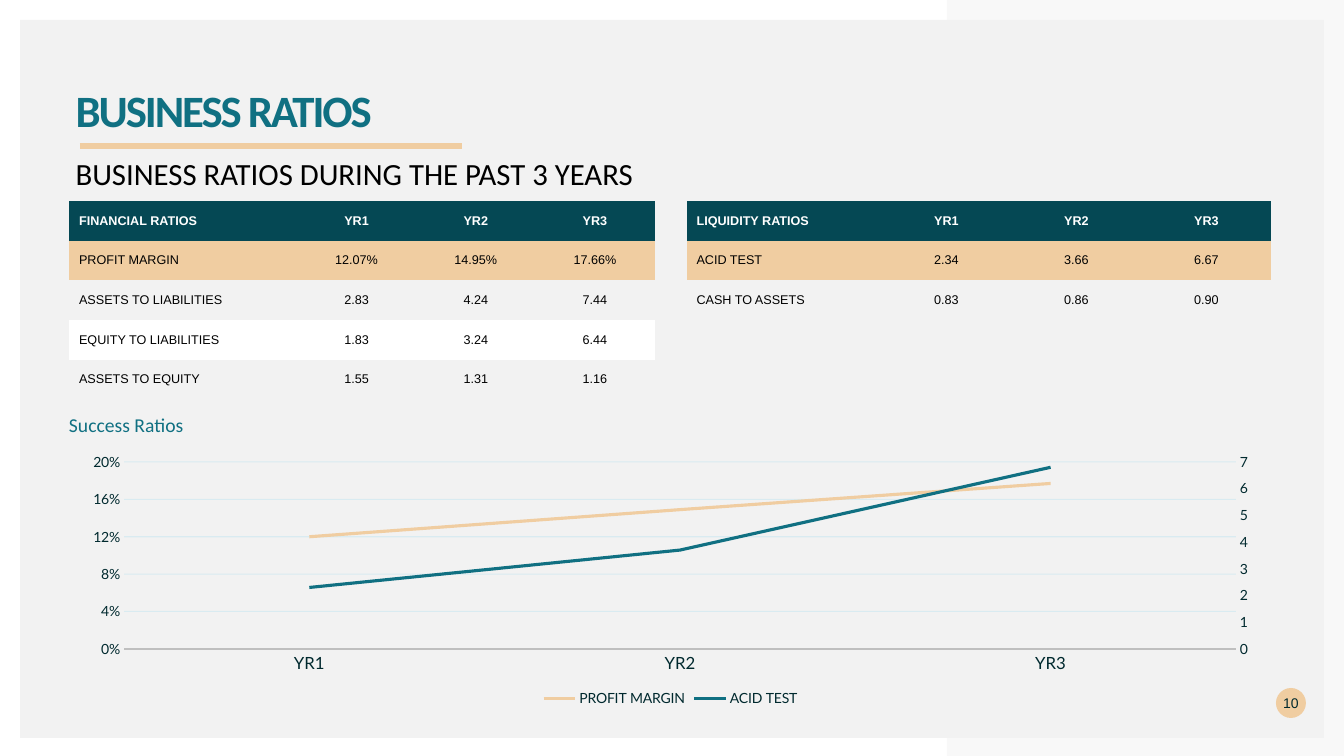
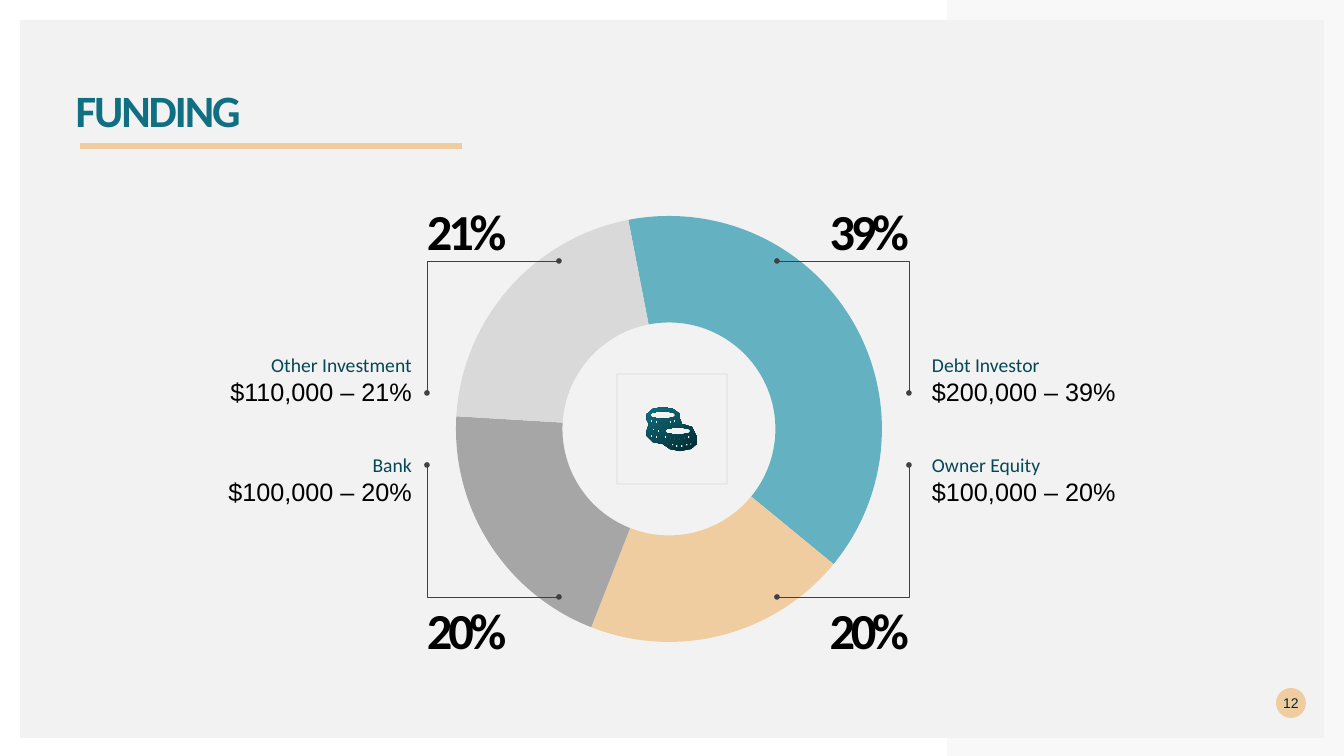
from collections import namedtuple
from copy import deepcopy
from math import cos, pi, sin
from lxml.etree import SubElement
from pptx import Presentation
from pptx.chart.axis import ValueAxis
from pptx.chart.data import CategoryChartData
from pptx.dml.color import RGBColor
from pptx.enum.chart import XL_CHART_TYPE, XL_LEGEND_POSITION, XL_TICK_MARK
from pptx.enum.shapes import MSO_CONNECTOR, MSO_SHAPE
from pptx.enum.text import MSO_ANCHOR, MSO_AUTO_SIZE, PP_ALIGN
from pptx.oxml.ns import qn
from pptx.util import Emu, Pt

SCALE = 914400 / 100.8
LEFT, MID, RIGHT = PP_ALIGN.LEFT, PP_ALIGN.CENTER, PP_ALIGN.RIGHT
TOP, CORE, LOW = MSO_ANCHOR.TOP, MSO_ANCHOR.MIDDLE, MSO_ANCHOR.BOTTOM
Style = namedtuple("Style", "size font color bold space", defaults=(False, 0))

class Theme:
    panel, white, black = "F2F2F2", "FFFFFF", "000000"
    teal, deep, dark, sand = "107082", "054854", "00292E", "F0CDA1"
    wire, frame, axis, grid = "404040", "808080", "BFBFBF", "00AEEF"
    ring = ("64B2C1", sand, "A6A6A6", "D9D9D9")
    title = Style(32, "Calibri", teal, True, -150)
    sub = Style(22, "Calibri", black)
    note = Style(14, "Calibri", teal)
    label = Style(14, "Calibri", deep)
    sum = Style(18, "Arial", black)
    share = Style(36, "Calibri", black, True, -300)
    page = Style(10, "Arial", dark)
    head = Style(9, "Arial", white, True)
    cell = Style(9, "Arial", black)
    tick = Style(10, "Lato", dark)
    year = Style(12, "Lato", dark)

T = Theme()

def px(*vals):
    return [Emu(round(v * SCALE)) for v in vals]

def rgb(code):
    return RGBColor.from_string(code)

def set_font(font, style):
    font.size, font.name, font.bold = Pt(style.size), style.font, style.bold
    font.color.rgb = rgb(style.color)

def set_fill(fill, color):
    fill.solid()
    fill.fore_color.rgb = rgb(color)

def set_line(line, color, width):
    line.color.rgb, line.width = rgb(color), Pt(width)

def write(frame, lines, align=LEFT, anchor=TOP):
    frame.text = "\n".join(text for text, _ in lines)
    frame.vertical_anchor = anchor
    for para, (_, style) in zip(frame.paragraphs, lines):
        para.alignment = align
        for run in para.runs:
            set_font(run.font, style)
            if style.space:
                run._r.get_or_add_rPr().set("spc", str(style.space))

def flush(frame, wrap=True):
    frame.margin_left = frame.margin_right = 0
    frame.margin_top = frame.margin_bottom = 0
    frame.auto_size, frame.word_wrap = MSO_AUTO_SIZE.NONE, wrap

def add_text(slide, box, lines, align=LEFT, anchor=TOP, wrap=True):
    frame = slide.shapes.add_textbox(*px(*box)).text_frame
    flush(frame, wrap)
    write(frame, lines, align, anchor)

def fade(node, part):
    for color in node.iter(qn("a:srgbClr")):
        SubElement(color, qn("a:alpha"), val=str(part * 1000))

def paint(shape, fill=None, line=None, width=1):
    shape.shadow.inherit = False
    if fill:
        set_fill(shape.fill, fill)
    else:
        shape.fill.background()
    if line:
        set_line(shape.line, line, width)
    else:
        shape.line.fill.background()
    return shape

def add_form(slide, kind, box, *look):
    return paint(slide.shapes.add_shape(kind, *px(*box)), *look)

def add_path(slide, loops, close=True):
    pen = slide.shapes.build_freeform(*loops[0][0], scale=SCALE)
    for i, (first, *rest) in enumerate(loops):
        if i:
            pen.move_to(*first)
        pen.add_line_segments(rest, close=close)
    return pen.convert_to_shape()

def set_back(slide):
    panel = add_form(slide, MSO_SHAPE.RECTANGLE, (20, 20, 1304, 718), T.panel)
    edge = paint(add_path(slide, [[
        (947, 0), (1344, 0), (1344, 756), (947, 756),
        (947, 736), (1324, 736), (1324, 20), (947, 20)]]), T.panel)
    fade(edge._element.spPr, 50)
    tree = slide.slide_layout.slide_master.shapes._spTree
    for shape in (panel, edge):
        tree.append(shape._element)

def add_page(deck, title, number):
    slide = deck.slides.add_slide(deck.slide_layouts[5])
    head = slide.shapes.title
    head.left, head.top, head.width, head.height = px(75.6, 89, 834, 40)
    flush(head.text_frame)
    write(head.text_frame, [(title, T.title)])
    head.text_frame.paragraphs[0].line_spacing = 0.9
    rule = slide.shapes.add_connector(MSO_CONNECTOR.STRAIGHT,
                                      *px(80, 146, 462, 146))
    set_line(rule.line, T.sand, 4.32)
    SubElement(rule._element.spPr, qn("a:effectLst"))
    badge = add_form(slide, MSO_SHAPE.OVAL, (1276, 688, 30, 30), T.sand)
    flush(badge.text_frame)
    write(badge.text_frame, [(str(number), T.page)], MID, CORE)
    return slide

def add_grid(slide, spot, widths, rows):
    fills = (T.deep, T.sand, T.panel, T.white, T.panel)
    high = 39.7
    box = px(*spot, sum(widths), high * len(rows))
    table = slide.shapes.add_table(len(rows), len(widths), *box).table
    table.first_row = table.horz_banding = False
    plain = "{2D5ABB26-0587-4C30-8999-92F81FD0307C}"
    table._tbl.tblPr.find(qn("a:tableStyleId")).text = plain
    for col, wide in zip(table.columns, px(*widths)):
        col.width = wide
    for r, row in enumerate(rows):
        table.rows[r].height = px(high)[0]
        for c, text in enumerate(row):
            cell = table.cell(r, c)
            set_fill(cell.fill, fills[r])
            write(cell.text_frame, [(text, T.cell if r else T.head)],
                  MID if c else LEFT)
            cell.vertical_anchor = CORE

def add_plot(slide, kind, box, cats, series, inner):
    data = CategoryChartData()
    data.categories = cats
    for name, vals in series:
        data.add_series(name, vals)
    chart = slide.shapes.add_chart(kind, *px(*box), data).chart
    chart.has_title = chart.has_legend = False
    set_font(chart.font, T.tick)
    area = chart.element.find(".//" + qn("c:plotArea"))
    for old in area.findall(qn("c:layout")):
        area.remove(old)
    place = SubElement(area, qn("c:layout"))
    area.insert(0, place)
    manual = SubElement(place, qn("c:manualLayout"))
    left, top, wide, high = box
    x, y, w, h = inner
    for tag, val in (("layoutTarget", "inner"), ("xMode", "edge"),
                     ("yMode", "edge"), ("x", (x - left) / wide),
                     ("y", (y - top) / high), ("w", w / wide), ("h", h / high)):
        SubElement(manual, qn("c:" + tag), val=str(val))
    return chart, area

def split_axis(area, top):
    line, cat, val = (area.find(qn("c:" + tag))
                      for tag in ("lineChart", "catAx", "valAx"))
    twin, cat2, val2 = (deepcopy(node) for node in (line, cat, val))
    line.remove(line.findall(qn("c:ser"))[1])
    twin.remove(twin.find(qn("c:ser")))
    line.addnext(twin)
    val.addnext(val2)
    val2.addnext(cat2)
    for node, num in zip(twin.findall(qn("c:axId")), ("501", "502")):
        node.set("val", num)
    for axis, tag, num in (
            (cat2, "axId", "501"), (cat2, "crossAx", "502"),
            (val2, "axId", "502"), (val2, "crossAx", "501"),
            (cat2, "delete", "1"), (val2, "axPos", "r"),
            (val2, "crosses", "max")):
        axis.find(qn("c:" + tag)).set("val", num)
    right = ValueAxis(val2)
    right.has_major_gridlines = False
    right.maximum_scale, right.major_unit = top, 1
    right.tick_labels.number_format = "#,##0"

def add_trend(slide, box):
    series = (("PROFIT MARGIN", (0.12, 0.149, 0.177)),
              ("ACID TEST", (2.3, 3.7, 6.8)))
    chart, area = add_plot(slide, XL_CHART_TYPE.LINE, box,
                           ("YR1", "YR2", "YR3"), series,
                           (124, 462, 1112, 187))
    for line, color in zip(chart.plots[0].series, (T.sand, T.teal)):
        line.smooth = False
        set_line(line.format.line, color, 2.25)
    cat, val = chart.category_axis, chart.value_axis
    for axis, style in ((cat, T.year), (val, T.tick)):
        axis.major_tick_mark = axis.minor_tick_mark = XL_TICK_MARK.NONE
        set_font(axis.tick_labels.font, style)
    set_line(cat.format.line, T.axis, 1.5)
    val.format.line.fill.background()
    val.minimum_scale, val.maximum_scale, val.major_unit = 0, 0.2, 0.04
    val.tick_labels.number_format = "0%"
    val.tick_labels.number_format_is_linked = False
    set_line(val.major_gridlines.format.line, T.grid, 0.75)
    fade(area.find(".//" + qn("c:majorGridlines")), 10)
    split_axis(area, 7)
    chart.has_legend = True
    chart.legend.position = XL_LEGEND_POSITION.BOTTOM
    chart.legend.include_in_layout = False
    set_font(chart.legend.font, T.tick)

def add_ring(slide, box):
    chart, area = add_plot(slide, XL_CHART_TYPE.DOUGHNUT, box, "1234",
                           [("Series 1", (39, 20, 20, 21))],
                           (456, 216, 426, 426))
    for i, color in enumerate(T.ring):
        look = chart.plots[0].series[0].points[i].format
        set_fill(look.fill, color)
        look.line.fill.background()
    area.find(".//" + qn("c:firstSliceAng")).set("val", "349")
    area.find(".//" + qn("c:holeSize")).set("val", "83")

def add_wire(slide, points):
    wire = paint(add_path(slide, [points], False), None, T.wire, 0.25)
    for tag in ("a:headEnd", "a:tailEnd"):
        SubElement(wire.line._get_or_add_ln(), qn(tag),
                   type="oval", w="sm", len="sm")

def add_coins(slide):
    loops = [[(697, 437), (695, 433), (692, 427), (682, 424), (680, 419),
              (680, 414), (673, 409), (663, 407), (653, 409), (647, 414),
              (647, 420), (649, 424), (647, 430), (647, 436), (653, 442),
              (663, 444), (670, 449), (680, 451), (691, 449), (697, 444)]]
    for x, y in ((663, 415), (678, 431)):
        loops.append([(round(x + 13 * cos(i * pi / 6), 2),
                       round(y + 4 * sin(i * pi / 6), 2)) for i in range(12)])
    for left, top, count in ((651, 420, 6), (653, 429, 2), (651, 435, 3),
                             (665, 436, 6), (667, 443, 6)):
        for i in range(count):
            x, y = left + 4.7 * i, top + round(2 * sin(pi * i / 5))
            loops.append([(x, y), (x + 2, y), (x + 2, y + 2), (x, y + 2)])
    fill = paint(add_path(slide, loops), T.deep).fill
    fill.gradient()
    fill.gradient_angle = 120
    for stop, color in zip(fill.gradient_stops, (T.dark, T.teal)):
        stop.color.rgb = rgb(color)

def add_ratios(deck):
    slide = add_page(deck, "BUSINESS RATIOS", 10)
    add_text(slide, (75.6, 155, 834, 39),
             [("BUSINESS RATIOS DURING THE PAST 3 YEARS", T.sub)])
    years = ("YR1", "YR2", "YR3")
    add_grid(slide, (69, 201), (228, 119.2, 119.2, 119.2), [
        ("FINANCIAL RATIOS", *years),
        ("PROFIT MARGIN", "12.07%", "14.95%", "17.66%"),
        ("ASSETS TO LIABILITIES", "2.83", "4.24", "7.44"),
        ("EQUITY TO LIABILITIES", "1.83", "3.24", "6.44"),
        ("ASSETS TO EQUITY", "1.55", "1.31", "1.16")])
    add_grid(slide, (686.5, 201), (195, 130, 130, 130), [
        ("LIQUIDITY RATIOS", *years),
        ("ACID TEST", "2.34", "3.66", "6.67"),
        ("CASH TO ASSETS", "0.83", "0.86", "0.90")])
    add_trend(slide, (69, 449, 1203, 262))
    add_text(slide, (69, 413, 117, 24), [("Success Ratios", T.note)],
             wrap=False)
    return slide

def add_funds(deck):
    slide = add_page(deck, "FUNDING", 12)
    add_ring(slide, (329, 203, 680, 454))
    west = (188, RIGHT, 427, 559, 427, LEFT)
    east = (932, LEFT, 909, 777, 802, RIGHT)
    north, south = (329, LOW, 393, 261, 198), (453, TOP, 465, 597, 597)
    for side, level, name, money, share in (
            (west, north, "Other Investment", "$110,000", "21%"),
            (west, south, "Bank", "$100,000", "20%"),
            (east, north, "Debt Investor", "$200,000", "39%"),
            (east, south, "Owner Equity", "$100,000", "20%")):
        x, align, outer, inner, mark, edge = side
        y, anchor, near, far, row = level
        add_text(slide, (x, y, 224, 78),
                 [(name, T.label), (f"{money} – {share}", T.sum)],
                 align, anchor)
        add_wire(slide, [(inner, far), (outer, far), (outer, near)])
        add_text(slide, (mark, row, 107, 63), [(share, T.share)], edge, LOW)
    add_coins(slide)
    frame = add_form(slide, MSO_SHAPE.RECTANGLE, (617, 374, 110, 110),
                     None, T.frame, 0.5)
    fade(frame._element.spPr, 20)

def main():
    deck = Presentation()
    deck.slide_width, deck.slide_height = px(1344, 756)
    set_back(add_ratios(deck))
    add_funds(deck)
    deck.save("out.pptx")

main()
